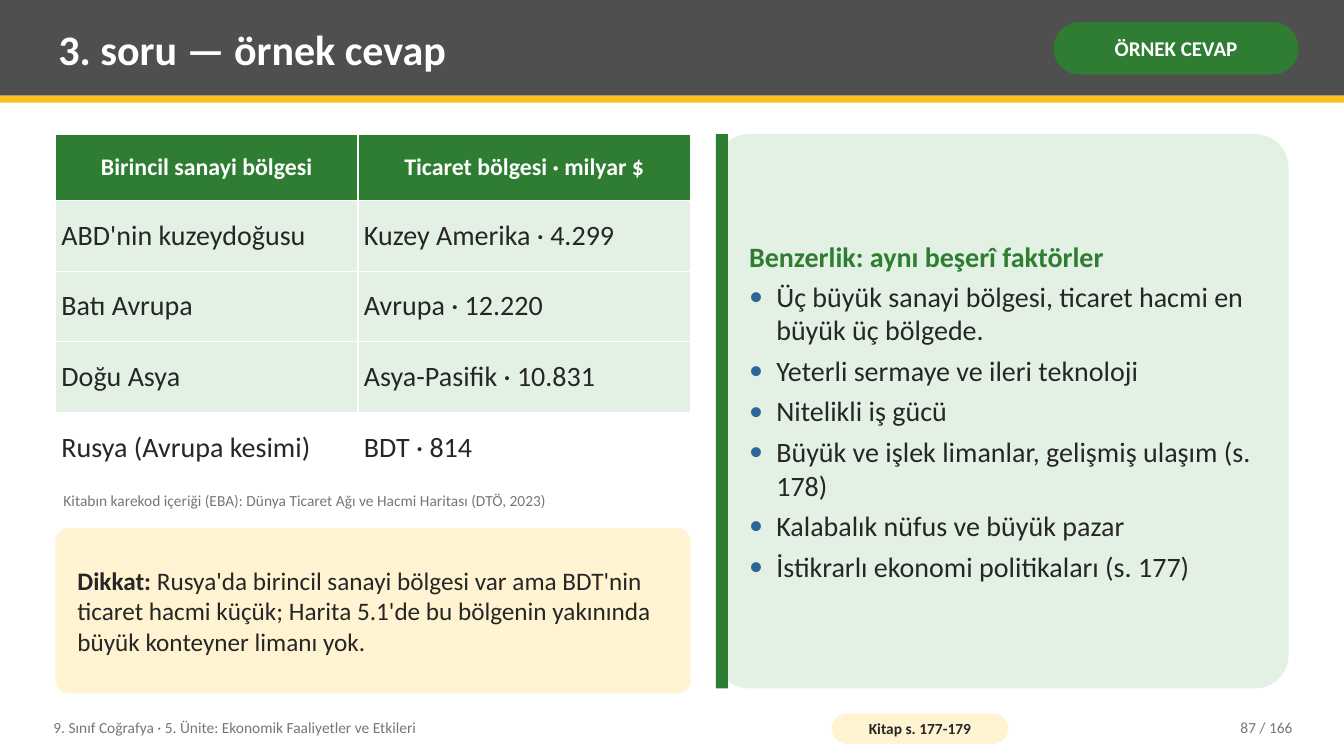
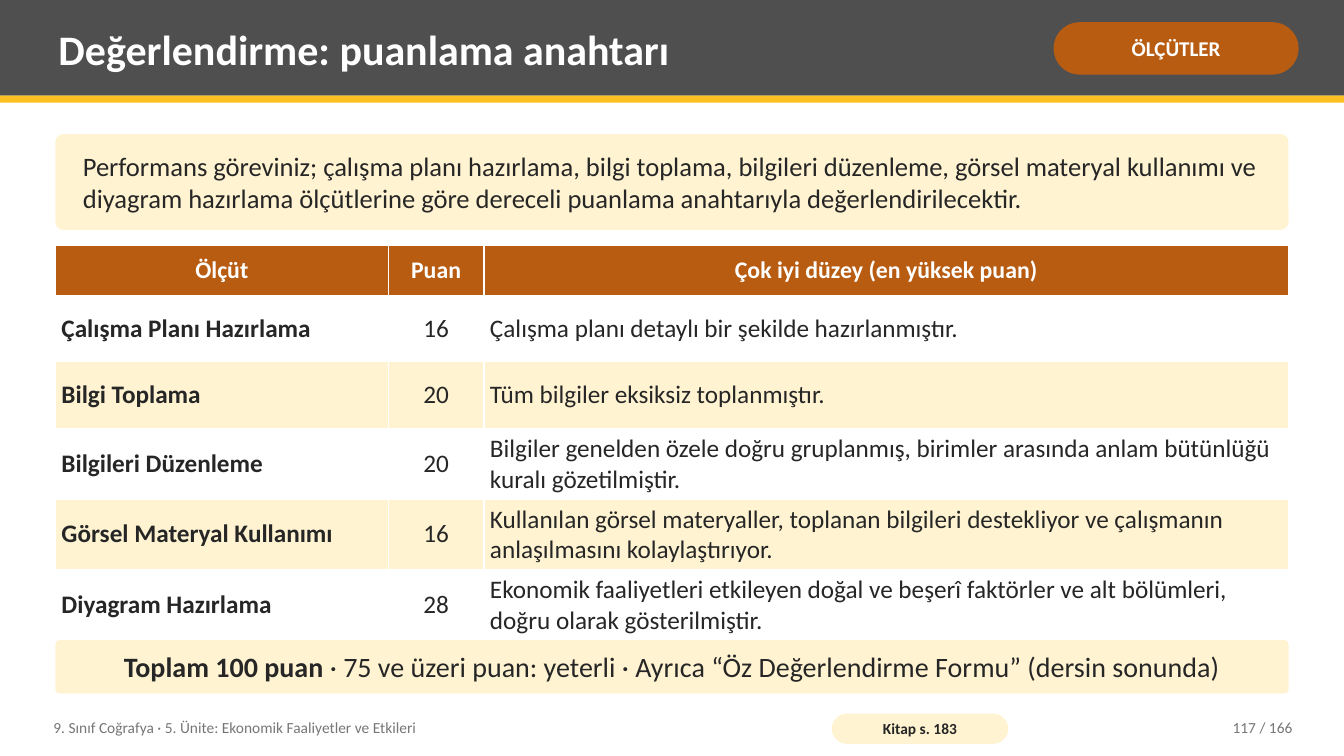
from lxml import etree
from pptx import Presentation
from pptx.dml.color import RGBColor
from pptx.enum import shapes, text
from pptx.oxml.ns import qn
from pptx.util import Emu, Pt

PX = 9144  # EMU per px, 100 px to the inch
WIDTH, HEIGHT = 1333, 750
LEFT, TOP, FULL = 55, 133, 1223  # content area
COLORS = {
    "white": "FFFFFF", "band": "4F4F4F", "gold": "FCC021", "ink": "262626",
    "grey": "767676", "cream": "FFF3D1", "green": "2E7D32", "mint": "E3F1E4",
    "orange": "B85C12", "blue": "2C6696",
}
BOX, ROUND = shapes.MSO_SHAPE.RECTANGLE, shapes.MSO_SHAPE.ROUNDED_RECTANGLE
L, C, R = text.PP_ALIGN.LEFT, text.PP_ALIGN.CENTER, text.PP_ALIGN.RIGHT
MIDDLE, UPPER = text.MSO_ANCHOR.MIDDLE, text.MSO_ANCHOR.TOP
FOOTER = "9. Sınıf Coğrafya · 5. Ünite: Ekonomik Faaliyetler ve Etkileri"


def px(n):
    return Emu(n * PX)


def rgb(name):
    return RGBColor.from_string(COLORS[name])


def apply(obj, values):
    for name, value in values.items():
        setattr(obj, name, value)


def add_color(parent, color):
    etree.SubElement(parent, qn("a:srgbClr"), val=COLORS[color])


class Deck:
    """Holds the style and the current slide."""

    font = "Calibri"

    def __init__(self):
        self.prs = Presentation()
        apply(self.prs, {"slide_width": px(WIDTH), "slide_height": px(HEIGHT)})

    # Text
    def fill_text(self, tf, paragraphs, size, color="ink", bold=False, align=L,
                  after=0):
        """A paragraph is a string or a list of (string, bold) runs."""
        for i, runs in enumerate(paragraphs):
            p = tf.paragraphs[0] if i == 0 else tf.add_paragraph()
            p.alignment = align
            if after and i < len(paragraphs) - 1:
                p.space_after = Pt(after)
            for words, strong in [(runs, bold)] if isinstance(runs, str) else runs:
                r = p.add_run()
                r.text = words
                apply(r.font, {"name": self.font, "size": Pt(size), "bold": strong})
                r.font.color.rgb = rgb(color)

    def frame(self, sp, inset, anchor=MIDDLE):
        tf = sp.text_frame
        side, end = map(px, inset)
        apply(tf, {"word_wrap": True, "vertical_anchor": anchor,
                   "margin_left": side, "margin_right": side,
                   "margin_top": end, "margin_bottom": end})
        return tf

    def label(self, at, paragraphs, size, anchor=MIDDLE, **style):
        sp = self.s.shapes.add_textbox(*map(px, at))
        tf = self.frame(sp, (8, 4), anchor)
        self.fill_text(tf, paragraphs, size, **style)
        return tf

    def bullet(self, p, color, indent=27):
        pPr = p._p.get_or_add_pPr()
        pPr.set("marL", str(indent * PX))
        pPr.set("indent", str(-indent * PX))
        add_color(etree.SubElement(pPr, qn("a:buClr")), color)
        etree.SubElement(pPr, qn("a:buFont"), typeface=self.font)
        etree.SubElement(pPr, qn("a:buChar"), char="•")

    # Shapes
    def shape(self, at, fill, kind=BOX, radius=None):
        sp = self.s.shapes.add_shape(kind, *map(px, at))
        sp.shadow.inherit = False
        sp.fill.solid()
        sp.fill.fore_color.rgb = rgb(fill)
        sp.line.fill.background()
        if radius is not None:
            sp.adjustments[0] = radius
        return sp

    def card(self, at, fill, words, size, inset, radius=0.08, **style):
        sp = self.shape(at, fill, ROUND, radius)
        self.fill_text(self.frame(sp, inset), [words], size, **style)

    # Table
    def table(self, at, widths, heights, rows, head, fills, size, styles):
        sp = self.s.shapes.add_table(len(rows), len(widths), *map(px, at),
                                     px(sum(widths)), px(sum(heights)))
        tbl = sp.table
        tbl.horz_banding = False
        for col, width in zip(tbl.columns, widths):
            col.width = px(width)
        head_style = {"size": 17, "color": "white", "bold": True, "align": C}
        for i, (row, height) in enumerate(zip(rows, heights)):
            tbl.rows[i].height = px(height)
            for j, words in enumerate(row):
                style = {"size": size, **styles[j]} if i else head_style
                self.cell(tbl.cell(i, j), words, fills[i - 1] if i else head, style)

    def cell(self, cell, words, fill, style):
        apply(cell, {"vertical_anchor": MIDDLE,
                     "margin_left": px(6), "margin_right": px(6),
                     "margin_top": px(5), "margin_bottom": px(5)})
        for side in ("lnL", "lnR", "lnT", "lnB"):
            ln = etree.SubElement(cell._tc.get_or_add_tcPr(), qn("a:" + side),
                                  w=str(int(Pt(0.96))))
            add_color(etree.SubElement(ln, qn("a:solidFill")), "white")
        cell.fill.solid()
        cell.fill.fore_color.rgb = rgb(fill)
        self.fill_text(cell.text_frame, [words], **style)

    # Slide with header band, tag and footer
    def slide(self, title, tag, accent, pages, number):
        self.s = self.prs.slides.add_slide(self.prs.slide_layouts[6])
        self.shape((0, 0, WIDTH, 95), "band")
        self.shape((0, 95, WIDTH, 7), "gold")
        self.label((50, 7, 975, 82), [title], 30, color="white", bold=True)
        self.card((1045, 22, 243, 52), accent, tag, 15, (5, 2), 0.5,
                  color="white", bold=True, align=C)
        self.label((45, 704, 760, 36), [FOOTER], 11, color="grey")
        self.card((825, 708, 175, 30), "cream", pages, 11, (4, 0), 0.5,
                  bold=True, align=C)
        self.label((1130, 704, 160, 36), [f"{number} / 166"], 11,
                   color="grey", align=R)


def answer_slide(deck):
    deck.slide("3. soru — örnek cevap", "ÖRNEK CEVAP", "green",
               "Kitap s. 177-179", 87)

    # Regions and the note below them
    deck.table((LEFT, TOP), [300, 330], [66] + [70] * 4, [
        ("Birincil sanayi bölgesi", "Ticaret bölgesi · milyar $"),
        ("ABD'nin kuzeydoğusu", "Kuzey Amerika · 4.299"),
        ("Batı Avrupa", "Avrupa · 12.220"),
        ("Doğu Asya", "Asya-Pasifik · 10.831"),
        ("Rusya (Avrupa kesimi)", "BDT · 814"),
    ], "green", ["mint"] * 3 + ["white"], 20, [{}, {}])
    deck.label((LEFT, 483, 630, 30),
               ["Kitabın karekod içeriği (EBA): Dünya Ticaret Ağı ve Hacmi "
                "Haritası (DTÖ, 2023)"], 11, UPPER, color="grey")
    deck.card((LEFT, 524, 630, 164), "cream", [
        ("Dikkat:", True),
        (" Rusya'da birincil sanayi bölgesi var ama BDT'nin ticaret hacmi "
         "küçük; Harita 5.1'de bu bölgenin yakınında büyük konteyner limanı "
         "yok.", False)], 18, (18, 8))

    # Similarities
    deck.shape((710, TOP, 568, 550), "mint", ROUND, 0.06)
    deck.shape((710, TOP, 12, 550), "green")
    tf = deck.label((735, TOP + 6, 533, 538), [
        [("Benzerlik: aynı beşerî faktörler", True)],
        "Üç büyük sanayi bölgesi, ticaret hacmi en büyük üç bölgede.",
        "Yeterli sermaye ve ileri teknoloji",
        "Nitelikli iş gücü",
        "Büyük ve işlek limanlar, gelişmiş ulaşım (s. 178)",
        "Kalabalık nüfus ve büyük pazar",
        "İstikrarlı ekonomi politikaları (s. 177)",
    ], 20, after=5)
    heading, *points = tf.paragraphs
    heading.space_after = Pt(4)
    heading.runs[0].font.color.rgb = rgb("green")
    for p in points:
        deck.bullet(p, "blue")


def rubric_slide(deck):
    deck.slide("Değerlendirme: puanlama anahtarı", "ÖLÇÜTLER", "orange",
               "Kitap s. 183", 117)
    deck.card((LEFT, TOP, FULL, 95), "cream",
              "Performans göreviniz; çalışma planı hazırlama, bilgi toplama, "
              "bilgileri düzenleme, görsel materyal kullanımı ve diyagram "
              "hazırlama ölçütlerine göre dereceli puanlama anahtarıyla "
              "değerlendirilecektir.", 19, (25, 8))

    # Criteria
    deck.table((LEFT, 243), [330, 95, 798], [50] + [66] * 5, [
        ("Ölçüt", "Puan", "Çok iyi düzey (en yüksek puan)"),
        ("Çalışma Planı Hazırlama", "16",
         "Çalışma planı detaylı bir şekilde hazırlanmıştır."),
        ("Bilgi Toplama", "20", "Tüm bilgiler eksiksiz toplanmıştır."),
        ("Bilgileri Düzenleme", "20",
         "Bilgiler genelden özele doğru gruplanmış, birimler arasında anlam "
         "bütünlüğü kuralı gözetilmiştir."),
        ("Görsel Materyal Kullanımı", "16",
         "Kullanılan görsel materyaller, toplanan bilgileri destekliyor ve "
         "çalışmanın anlaşılmasını kolaylaştırıyor."),
        ("Diyagram Hazırlama", "28",
         "Ekonomik faaliyetleri etkileyen doğal ve beşerî faktörler ve alt "
         "bölümleri, doğru olarak gösterilmiştir."),
    ], "orange", ["white", "cream", "white", "cream", "white"], 18,
        [{"bold": True}, {"align": C}, {}])

    # Total
    deck.card((LEFT, 635, FULL, 53), "cream", [
        ("Toplam 100 puan", True),
        (" · 75 ve üzeri puan: yeterli · Ayrıca “Öz Değerlendirme Formu” "
         "(dersin sonunda)", False)], 20, (22, 8), align=C)


def main():
    deck = Deck()
    answer_slide(deck)
    rubric_slide(deck)
    deck.prs.save("out.pptx")


if __name__ == "__main__":
    main()
